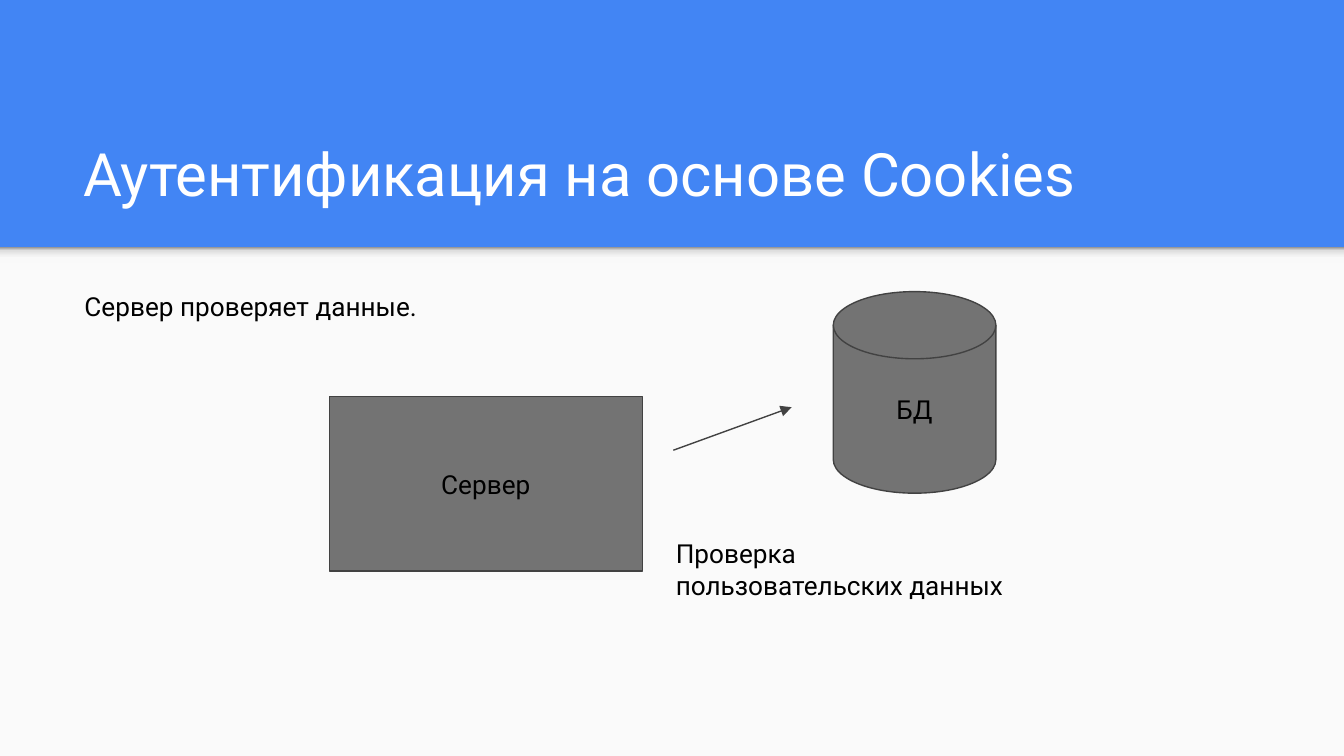
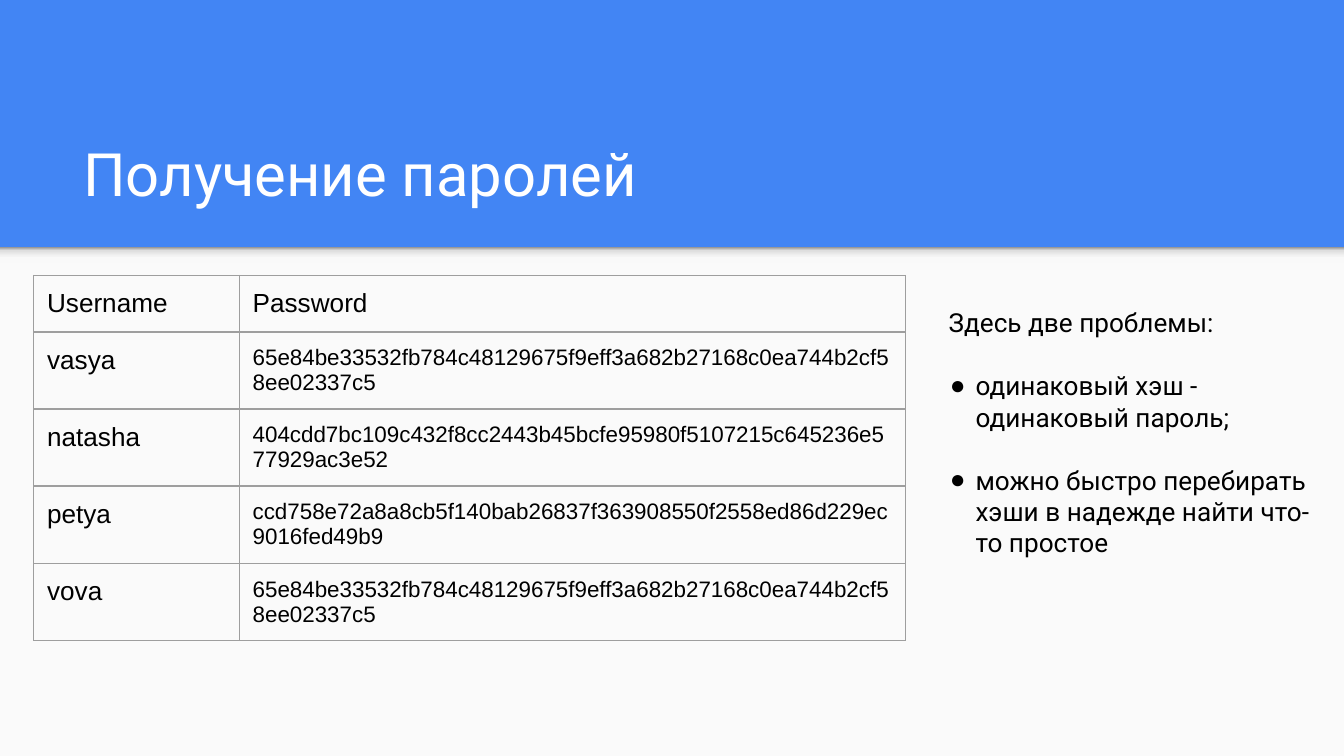
from dataclasses import dataclass

from lxml import etree
from pptx import Presentation
from pptx.dml.color import RGBColor
from pptx.enum.shapes import MSO_CONNECTOR, MSO_SHAPE
from pptx.enum.text import MSO_ANCHOR, MSO_AUTO_SIZE, PP_ALIGN
from pptx.oxml import parse_xml
from pptx.oxml.ns import qn
from pptx.util import Inches, Pt

RECTANGLE = MSO_SHAPE.RECTANGLE
DISK = MSO_SHAPE.FLOWCHART_MAGNETIC_DISK
STRAIGHT = MSO_CONNECTOR.STRAIGHT
TOP, MIDDLE, BOTTOM = MSO_ANCHOR.TOP, MSO_ANCHOR.MIDDLE, MSO_ANCHOR.BOTTOM
LEFT, CENTER = PP_ALIGN.LEFT, PP_ALIGN.CENTER
NO_AUTOFIT = MSO_AUTO_SIZE.NONE
TITLE_ONLY = 5
DRAWING = "http://schemas.openxmlformats.org/drawingml/2006/main"


@dataclass(frozen=True)
class Theme:
    """Colours, fonts and type sizes of the deck."""

    header: str = "4285F4"
    paper: str = "FAFAFA"
    node: str = "737373"
    outline: str = "424242"
    grid: str = "9E9E9E"
    ink: str = "000000"
    title_ink: str = "FFFFFF"
    edge_stops: tuple = ((0, "F9F9F9"), (36, "F9F9F9"), (80, "DEDEDE"), (100, "999999"))
    font: str = "Roboto"
    table_font: str = "Arial"
    title_size: int = 32
    body_size: int = 14
    hash_size: int = 12
    line_width: float = 0.75
    paragraph_gap: int = 17


THEME = Theme()
SLIDE_WIDTH = 10
SLIDE_HEIGHT = SLIDE_WIDTH * 9 / 16
BAND_TOP = 1.84

USERS = (
    ("Username", "Password"),
    ("vasya", "65e84be33532fb784c48129675f9eff3a682b27168c0ea744b2cf58ee02337c5"),
    ("natasha", "404cdd7bc109c432f8cc2443b45bcfe95980f5107215c645236e577929ac3e52"),
    ("petya", "ccd758e72a8a8cb5f140bab26837f363908550f2558ed86d229ec9016fed49b9"),
    ("vova", "65e84be33532fb784c48129675f9eff3a682b27168c0ea744b2cf58ee02337c5"),
)
PROBLEMS = (
    "одинаковый хэш - одинаковый пароль;",
    "можно быстро перебирать хэши в надежде найти что-то простое",
)


def rgb(value):
    """Turn a hex string into a colour."""
    return RGBColor.from_string(value)


def inches(*values):
    """Turn numbers into lengths."""
    return [Inches(value) for value in values]


def add_span(para, text, size=THEME.body_size, color=THEME.ink, font=THEME.font):
    """Add one formatted run to a paragraph."""
    span = para.add_run()
    span.text = text
    span.font.name = font
    span.font.size = Pt(size)
    span.font.color.rgb = rgb(color)


def format_frame(frame, anchor):
    """Give a text frame wrapping, even margins and an anchor."""
    frame.word_wrap = True
    frame.auto_size = NO_AUTOFIT
    frame.vertical_anchor = anchor
    frame.margin_left = frame.margin_right = Inches(0.1)
    frame.margin_top = frame.margin_bottom = Inches(0.1)


def add_panel(slide, place, fill):
    """Add a plain rectangle without outline."""
    panel = slide.shapes.add_shape(RECTANGLE, *inches(*place))
    panel.shadow.inherit = False
    panel.fill.solid()
    panel.fill.fore_color.rgb = rgb(fill)
    panel.line.fill.background()
    return panel


def add_edge(slide):
    """Add the soft shade under the header."""
    edge = add_panel(slide, (0, BAND_TOP, SLIDE_WIDTH, 0.12), THEME.paper)
    stops = "".join(
        f'<a:gs pos="{percent * 1000}"><a:srgbClr val="{color}"/></a:gs>'
        for percent, color in THEME.edge_stops
    )
    gradient = parse_xml(
        f'<a:gradFill xmlns:a="{DRAWING}" rotWithShape="1"><a:gsLst>{stops}</a:gsLst>'
        '<a:lin ang="16200000" scaled="0"/></a:gradFill>'
    )
    properties = edge.element.spPr
    properties.replace(properties.find(qn("a:solidFill")), gradient)


def add_titled_slide(deck, title):
    """Add a slide with the shared body panel, shade and title."""
    slide = deck.slides.add_slide(deck.slide_layouts[TITLE_ONLY])
    add_panel(slide, (0, BAND_TOP, SLIDE_WIDTH, SLIDE_HEIGHT - BAND_TOP), THEME.paper)
    add_edge(slide)
    box = slide.shapes.title
    box.left, box.top, box.width, box.height = inches(0.52, 0.81, 8.99, 0.84)
    format_frame(box.text_frame, BOTTOM)
    para = box.text_frame.paragraphs[0]
    para.alignment = LEFT
    add_span(para, title, THEME.title_size, THEME.title_ink)
    return slide


def add_text(slide, place, text):
    """Add a text box with one paragraph and return its frame."""
    frame = slide.shapes.add_textbox(*inches(*place)).text_frame
    format_frame(frame, TOP)
    add_span(frame.paragraphs[0], text)
    return frame


def add_bullet(frame, text):
    """Append a bulleted paragraph to a text frame."""
    para = frame.add_paragraph()
    para.space_before = Pt(THEME.paragraph_gap)
    properties = para._p.get_or_add_pPr()
    properties.set("marL", str(Inches(0.2)))
    properties.set("indent", str(Inches(-0.19)))
    color = etree.SubElement(properties, qn("a:buClr"))
    etree.SubElement(color, qn("a:srgbClr"), val=THEME.ink)
    etree.SubElement(properties, qn("a:buFont"), typeface=THEME.table_font)
    etree.SubElement(properties, qn("a:buChar"), char="●")
    add_span(para, text)


def add_node(slide, kind, place, label):
    """Add a labelled shape of the diagram."""
    node = slide.shapes.add_shape(kind, *inches(*place))
    node.shadow.inherit = False
    node.fill.solid()
    node.fill.fore_color.rgb = rgb(THEME.node)
    node.line.color.rgb = rgb(THEME.outline)
    node.line.width = Pt(THEME.line_width)
    format_frame(node.text_frame, MIDDLE)
    para = node.text_frame.paragraphs[0]
    para.alignment = CENTER
    add_span(para, label)


def add_arrow(slide, start, end):
    """Add a straight arrow between two points."""
    arrow = slide.shapes.add_connector(STRAIGHT, *inches(*start, *end))
    arrow.line.color.rgb = rgb(THEME.outline)
    arrow.line.width = Pt(THEME.line_width)
    etree.SubElement(arrow.line._get_or_add_ln(), qn("a:tailEnd"), type="triangle")
    etree.SubElement(arrow._element.spPr, qn("a:effectLst"))


def add_borders(cell):
    """Draw the four borders of a table cell."""
    properties = cell._tc.get_or_add_tcPr()
    for side in ("a:lnL", "a:lnR", "a:lnT", "a:lnB"):
        line = etree.SubElement(properties, qn(side), w=str(Pt(THEME.line_width)))
        fill = etree.SubElement(line, qn("a:solidFill"))
        etree.SubElement(fill, qn("a:srgbClr"), val=THEME.grid)


def fill_cell(cell, text, size):
    """Write and format one table cell."""
    cell.margin_left = cell.margin_right = Inches(0.1)
    cell.margin_top = cell.margin_bottom = Inches(0.1)
    add_borders(cell)
    cell.fill.background()
    add_span(cell.text_frame.paragraphs[0], text, size, font=THEME.table_font)


def add_table(slide, left, top, widths, row_height, rows):
    """Add a bordered table with smaller type for the hashes."""
    place = inches(left, top, sum(widths), row_height * len(rows))
    table = slide.shapes.add_table(len(rows), len(widths), *place).table
    table.first_row = table.horz_banding = False
    for column, width in zip(table.columns, widths):
        column.width = Inches(width)
    for row_index, row in enumerate(rows):
        table.rows[row_index].height = Inches(row_height)
        for column_index, text in enumerate(row):
            is_hash = row_index > 0 and column_index > 0
            size = THEME.hash_size if is_hash else THEME.body_size
            fill_cell(table.cell(row_index, column_index), text, size)


def build_cookies_slide(deck):
    """Show the server checking user data in the database."""
    slide = add_titled_slide(deck, "Аутентификация на основе Cookies")
    add_node(slide, RECTANGLE, (2.45, 2.95, 2.33, 1.3), "Сервер")
    add_node(slide, DISK, (6.2, 2.17, 1.21, 1.5), "БД")
    add_arrow(slide, (5.01, 3.35), (5.89, 3.03))
    add_text(slide, (4.93, 3.9, 2.73, 0.71), "Проверка пользовательских данных")
    add_text(slide, (0.53, 2.06, 8.59, 0.32), "Сервер проверяет данные.")


def build_passwords_slide(deck):
    """Show the stored hashes and the problems with them."""
    slide = add_titled_slide(deck, "Получение паролей")
    add_table(slide, 0.25, 2.05, (1.53, 4.96), 0.42, USERS)
    frame = add_text(slide, (6.96, 2.18, 2.95, 2.75), "Здесь две проблемы:")
    for problem in PROBLEMS:
        add_bullet(frame, problem)


def main():
    """Build the deck and save it."""
    deck = Presentation()
    deck.slide_width, deck.slide_height = inches(SLIDE_WIDTH, SLIDE_HEIGHT)
    background = deck.slide_master.background.fill
    background.solid()
    background.fore_color.rgb = rgb(THEME.header)
    build_cookies_slide(deck)
    build_passwords_slide(deck)
    deck.save("out.pptx")


if __name__ == "__main__":
    main()
